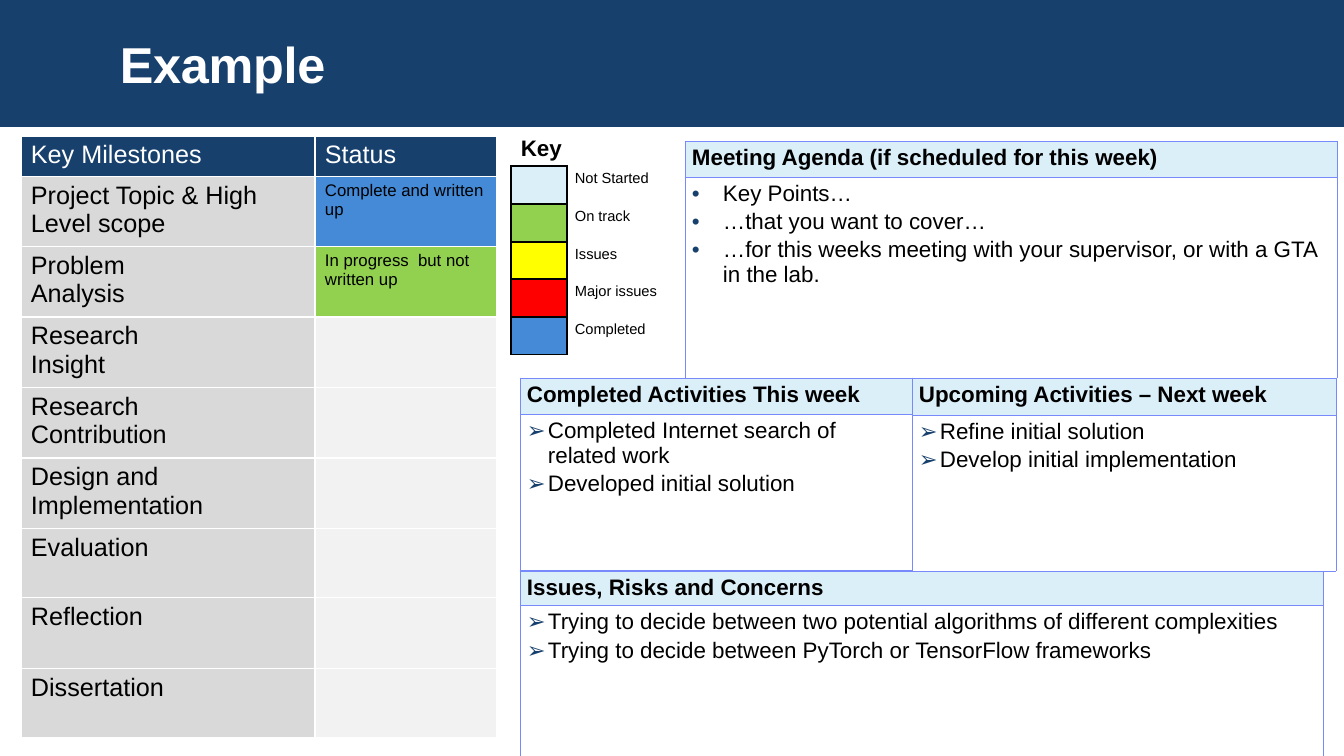
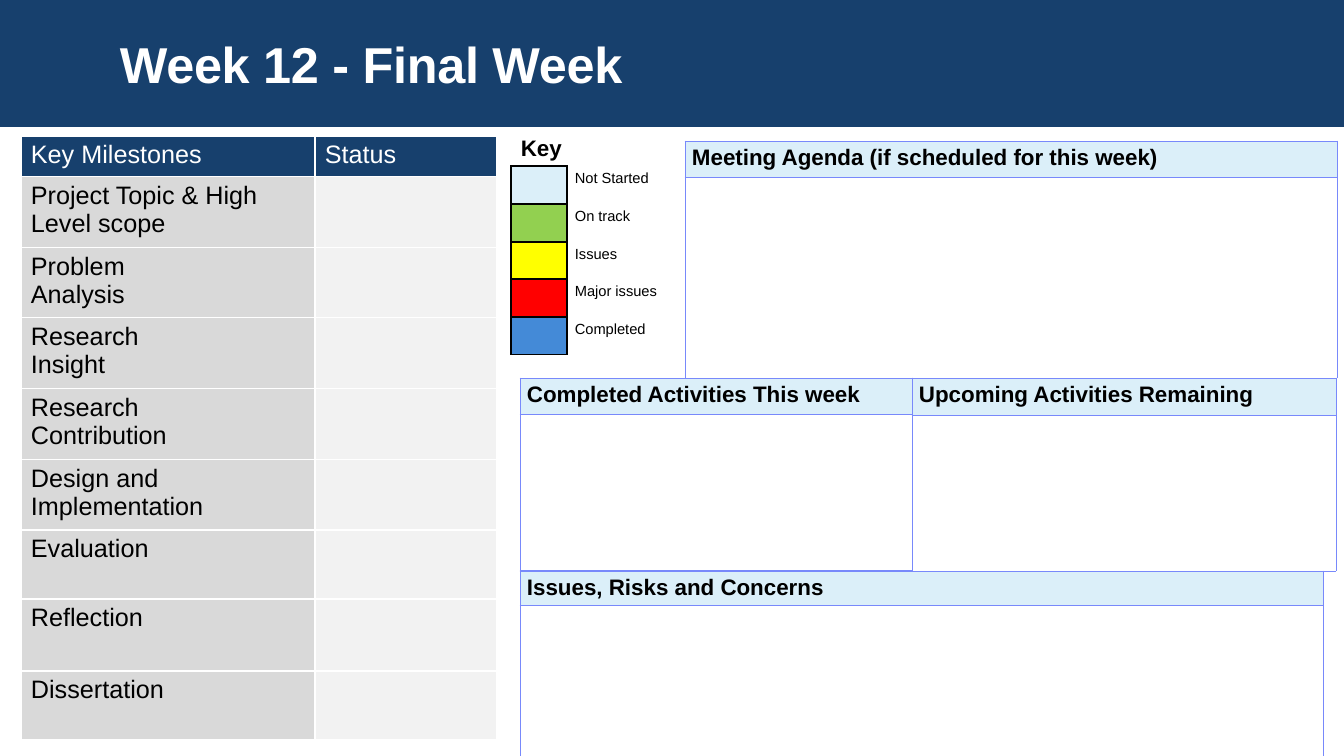
import lxml.etree
import pptx
import pptx.dml.color
import pptx.enum.shapes
import pptx.enum.text
import pptx.oxml.ns
import pptx.util

SCALE = 914400 / 100.8  # EMU in one px
WIDTH, HEIGHT = 1344, 756
FONT = "Arial"
NAVY, WHITE, BLACK = "17406D", "FFFFFF", "000000"
PALE, GREEN, YELLOW, RED, BLUE = "DBEFF9", "92D050", "FFFF00", "FF0000", "448AD7"
GREY, LIGHT_GREY, PANEL_LINE = "D9D9D9", "F2F2F2", "7889FB"
PLAIN_TABLE = "{2D5ABB26-0587-4C30-8999-92F81FD0307C}"

KEY = [("Not Started", PALE), ("On track", GREEN), ("Issues", YELLOW),
       ("Major issues", RED), ("Completed", BLUE)]
MILESTONES = ["Project Topic & High Level scope", "Problem\nAnalysis",
              "Research\nInsight", "Research\nContribution",
              "Design and Implementation", "Evaluation", "Reflection",
              "Dissertation"]

# Panel boxes: left, top, width, then header and body heights
AGENDA = (685, 141, 652, (36, 201))
COMPLETED = (520, 378, 392, (36, 156))
UPCOMING = (912, 378, 424, (37, 156))
ISSUES = (520, 571, 803, (34, 152))


def px(length):
    return pptx.util.Emu(round(length * SCALE))


def color(value):
    return pptx.dml.color.RGBColor.from_string(value)


def add_node(parent, tag, **attributes):
    node = lxml.etree.SubElement(parent, pptx.oxml.ns.qn(tag))
    for name, value in attributes.items():
        node.set(name, str(value))
    return node


def add_span(para, text, size, ink=BLACK, bold=False):
    span = para.add_run()
    span.text = text
    span.font.name = FONT
    span.font.size = pptx.util.Pt(size)
    span.font.bold = bold
    span.font.color.rgb = color(ink)
    return span


def write_lines(frame, lines, size, ink=BLACK, bold=False):
    for index, line in enumerate(lines):
        para = frame.add_paragraph() if index else frame.paragraphs[0]
        add_span(para, line, size, ink, bold)


def add_bullet(para, mark, indent):
    para.space_after = pptx.util.Pt(2.4)
    props = para._p.get_or_add_pPr()
    props.set("marL", str(px(indent)))
    props.set("indent", str(-px(indent)))
    add_node(add_node(props, "a:buClr"), "a:srgbClr", val=NAVY)
    add_node(props, "a:buFont", typeface=FONT)
    add_node(props, "a:buChar", char=mark)


def add_text(page, left, top, width, height, text, size, ink=BLACK):
    box = page.shapes.add_textbox(px(left), px(top), px(width), px(height))
    box.text_frame.word_wrap = True
    box.text_frame.vertical_anchor = pptx.enum.text.MSO_ANCHOR.MIDDLE
    return add_span(box.text_frame.paragraphs[0], text, size, ink, True)


def add_grid(page, left, top, columns, rows):
    """Add a table without any style of its own."""
    table = page.shapes.add_table(
        len(rows), len(columns), px(left), px(top),
        px(sum(columns)), px(sum(rows))).table
    table.first_row = table.horz_banding = False
    table._tbl.tblPr.find(pptx.oxml.ns.qn("a:tableStyleId")).text = PLAIN_TABLE
    for column, width in zip(table.columns, columns):
        column.width = px(width)
    for row, height in zip(table.rows, rows):
        row.height = px(height)
    return table


def style_cell(cell, fill=None, line=None, weight=1, side=10, edge=5):
    cell.margin_left = cell.margin_right = px(side)
    cell.margin_top = cell.margin_bottom = px(edge)
    if line:
        props = cell._tc.get_or_add_tcPr()
        for tag in ("a:lnL", "a:lnR", "a:lnT", "a:lnB"):
            border = add_node(props, tag, w=pptx.util.Pt(weight))
            add_node(add_node(border, "a:solidFill"), "a:srgbClr", val=line)
    if fill:
        cell.fill.solid()
        cell.fill.fore_color.rgb = color(fill)
    else:
        cell.fill.background()


def add_title_band(page, title):
    band = page.shapes.add_shape(
        pptx.enum.shapes.MSO_SHAPE.RECTANGLE, 0, 0, px(WIDTH), px(127))
    band.shadow.inherit = False
    band.fill.solid()
    band.fill.fore_color.rgb = color(NAVY)
    band.line.fill.background()
    span = add_text(page, 110, 21, 1105, 84, title, 36, WHITE)
    span._r.get_or_add_rPr().set("spc", "-20")


def add_milestones(page, left, top, rows, statuses):
    table = add_grid(page, left, top, (294, 182), rows)
    for column, heading in enumerate(("Key Milestones", "Status")):
        cell = table.cell(0, column)
        style_cell(cell, NAVY, WHITE)
        write_lines(cell.text_frame, [heading], 18, WHITE)
    for row, name in enumerate(MILESTONES, 1):
        cell = table.cell(row, 0)
        style_cell(cell, GREY, WHITE)
        write_lines(cell.text_frame, name.split("\n"), 18)
        status, fill = statuses.get(row, (None, LIGHT_GREY))
        style_cell(table.cell(row, 1), fill, WHITE)
        if status:
            write_lines(table.cell(row, 1).text_frame, [status], 12)


def add_key(page, left, top):
    add_text(page, left, top, 151, 37, "Key", 16)
    table = add_grid(page, left, top + 37, (56, 141), (38, 38, 37, 38, 38))
    for row, (label, fill) in enumerate(KEY):
        style_cell(table.cell(row, 0), fill, BLACK, edge=0)
        style_cell(table.cell(row, 1), side=8, edge=4)
        write_lines(table.cell(row, 1).text_frame, [label], 10.5)


def add_panel(page, box, heading, points=(), mark="➢", indent=21):
    left, top, width, rows = box
    table = add_grid(page, left, top, (width,), rows)
    header, body = table.cell(0, 0), table.cell(1, 0)
    style_cell(header, PALE, PANEL_LINE, 0.71, 7, 4)
    style_cell(body, None, PANEL_LINE, 0.71, 7, 4)
    write_lines(header.text_frame, [heading], 16, bold=True)
    write_lines(body.text_frame, points, 16)
    if points:
        for para in body.text_frame.paragraphs:
            add_bullet(para, mark, indent)


def add_report(deck, title, rows, upcoming, statuses=None, agenda_points=(),
               completed_points=(), upcoming_points=(), issue_points=()):
    page = deck.slides.add_slide(deck.slide_layouts[6])
    add_title_band(page, title)
    add_milestones(page, 21, 136, rows, statuses or {})
    add_key(page, 511, 129)
    add_panel(page, COMPLETED, "Completed Activities This week", completed_points)
    add_panel(page, AGENDA, "Meeting Agenda (if scheduled for this week)",
              agenda_points, "•", 31)
    add_panel(page, ISSUES, "Issues, Risks and Concerns", issue_points)
    add_panel(page, UPCOMING, upcoming, upcoming_points)


def main():
    deck = pptx.Presentation()
    deck.slide_width, deck.slide_height = px(WIDTH), px(HEIGHT)

    # Filled-in example week
    add_report(
        deck, "Example", (39, 70, 70, 69, 69, 70, 69, 71, 69),
        "Upcoming Activities – Next week",
        statuses={1: ("Complete and written up", BLUE),
                  2: ("In progress  but not written up", GREEN)},
        agenda_points=["Key Points…", "…that you want to cover…",
                       "…for this weeks meeting with your supervisor, "
                       "or with a GTA in the lab."],
        completed_points=["Completed Internet search of related work",
                          "Developed initial solution"],
        upcoming_points=["Refine initial solution",
                         "Develop initial implementation"],
        issue_points=["Trying to decide between two potential algorithms "
                      "of different complexities",
                      "Trying to decide between PyTorch or TensorFlow "
                      "frameworks"])

    # Empty form for the last week
    add_report(deck, "Week 12 - Final Week",
               (40, 71, 70, 71, 71, 70, 69, 72, 69),
               "Upcoming Activities Remaining")
    deck.save("out.pptx")


if __name__ == "__main__":
    main()
